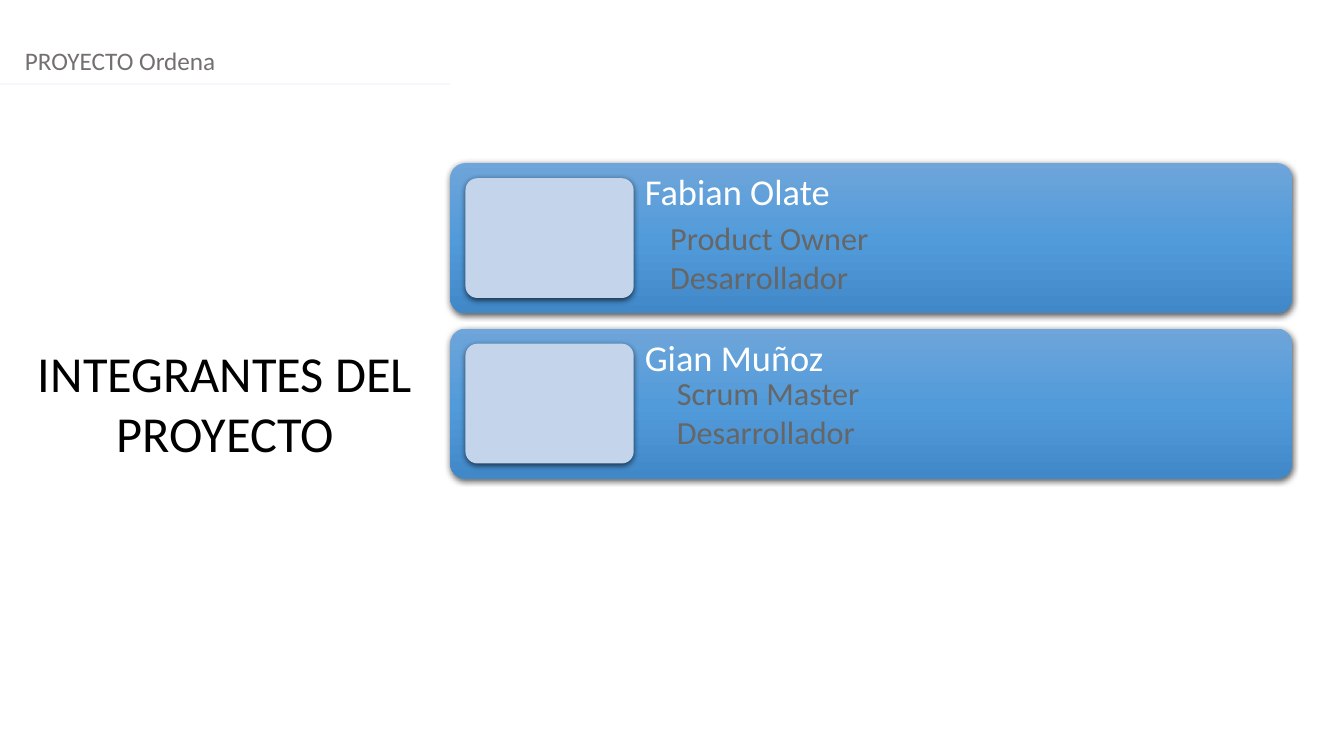
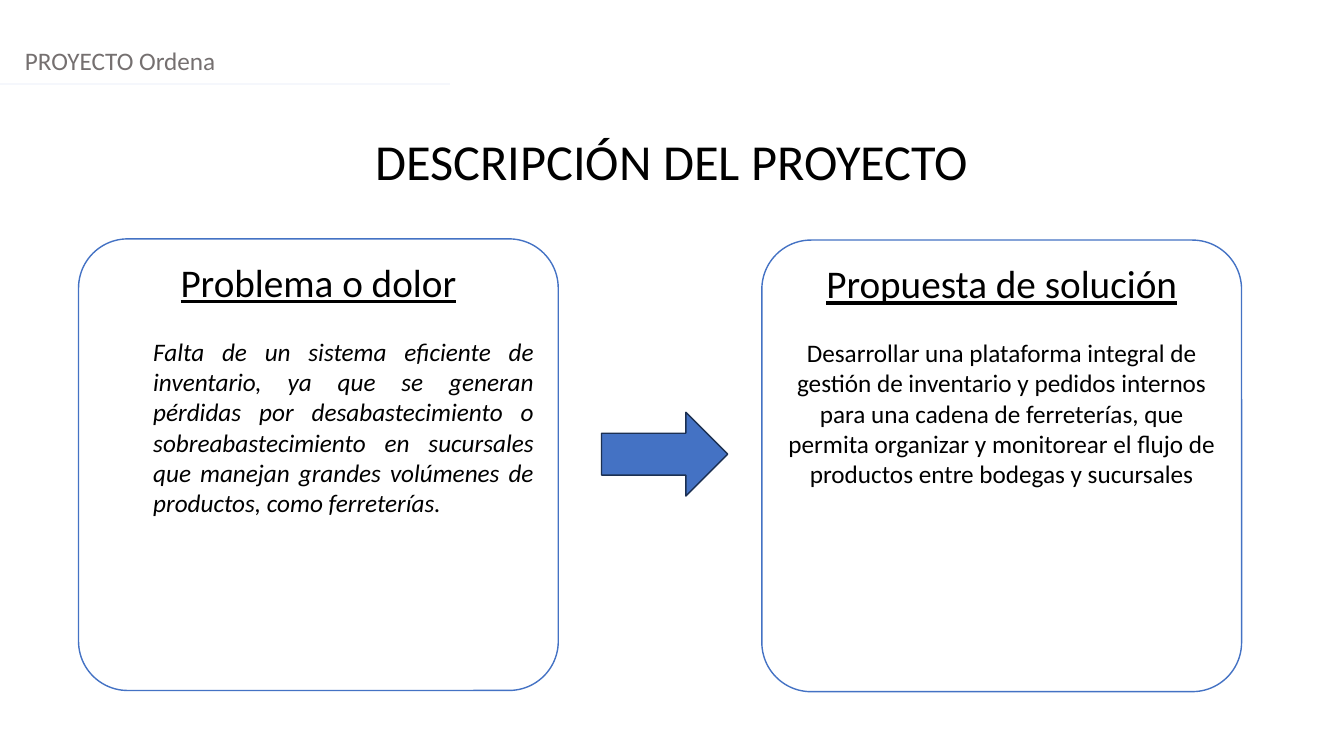
from lxml import etree
from pptx import Presentation
from pptx.dml.color import RGBColor
from pptx.enum.shapes import MSO_CONNECTOR, MSO_SHAPE
from pptx.enum.text import MSO_ANCHOR, PP_ALIGN
from pptx.oxml import parse_xml
from pptx.oxml.ns import nsdecls, qn
from pptx.util import Cm, Pt

LEFT, CENTER, JUSTIFY = PP_ALIGN.LEFT, PP_ALIGN.CENTER, PP_ALIGN.JUSTIFY
TOP = MSO_ANCHOR.TOP
ROUNDED, ARROW = MSO_SHAPE.ROUNDED_RECTANGLE, MSO_SHAPE.RIGHT_ARROW
STRAIGHT = MSO_CONNECTOR.STRAIGHT

BLACK = RGBColor(0x00, 0x00, 0x00)
WHITE = RGBColor(0xFF, 0xFF, 0xFF)
HEADER_GRAY = RGBColor(0x75, 0x70, 0x70)
ROLE_GRAY = RGBColor(0x66, 0x66, 0x66)
RULE = RGBColor(0xF5, 0xF7, 0xFC)
BLUE = RGBColor(0x44, 0x72, 0xC4)
NAVY = RGBColor(0x1C, 0x30, 0x52)
PHOTO = RGBColor(0xC3, 0xD4, 0xEB)
CARD_STOPS = (
    (0, RGBColor(0x6E, 0xA5, 0xDA)),
    (50, RGBColor(0x52, 0x9B, 0xDA)),
    (100, RGBColor(0x41, 0x88, 0xC8)),
)

FONT = "Calibri"
SLIDE_W, SLIDE_H = 33.87, 19.05
RULE_END = 11.35


def add_text(tf, text, size=18, color=BLACK, align=LEFT, italic=False,
             underline=False, before=0, spacing=1.0, indent=0):
    p = tf.paragraphs[0]
    if p.runs:
        p = tf.add_paragraph()
    p.alignment = align
    p.space_before = Pt(before)
    p.line_spacing = spacing
    if indent:
        p._p.get_or_add_pPr().set("marL", str(Cm(indent)))
    r = p.add_run()
    r.text = text
    r.font.name = FONT
    r.font.size = Pt(size)
    r.font.color.rgb = color
    r.font.italic = italic
    r.font.underline = underline


class Deck:
    def __init__(self):
        self.prs = Presentation()
        self.prs.slide_width = Cm(SLIDE_W)
        self.prs.slide_height = Cm(SLIDE_H)
        self.s = None

    def new_slide(self):
        self.s = self.prs.slides.add_slide(self.prs.slide_layouts[6])
        tf = self.textbox(0.38, 1.02, SLIDE_W - 0.38, 1.02)
        add_text(tf, "PROYECTO Ordena", color=HEADER_GRAY)
        self.rule(0, RULE_END, 2.11)

    def frame(self, sp, inset_x, inset_y):
        tf = sp.text_frame
        tf.word_wrap = True
        tf.vertical_anchor = TOP
        tf.margin_left = tf.margin_right = Cm(inset_x)
        tf.margin_top = tf.margin_bottom = Cm(inset_y)
        return tf

    def textbox(self, x, y, w, h, inset_x=0.25, inset_y=0.13):
        sp = self.s.shapes.add_textbox(Cm(x), Cm(y), Cm(w), Cm(h))
        return self.frame(sp, inset_x, inset_y)

    def title(self, text, x, y, w, h):
        add_text(self.textbox(x, y, w, h), text, size=36, align=CENTER)

    def rule(self, x1, x2, y):
        line = self.s.shapes.add_connector(STRAIGHT, Cm(x1), Cm(y), Cm(x2), Cm(y))
        line.line.color.rgb = RULE
        line.line.width = Pt(1.25)
        etree.SubElement(line._element.spPr, qn("a:effectLst"))

    def shape(self, kind, x, y, w, h, fill=None, line=None, adj=None):
        sp = self.s.shapes.add_shape(kind, Cm(x), Cm(y), Cm(w), Cm(h))
        sp.shadow.inherit = False
        if adj is not None:
            sp.adjustments[0] = adj
        if fill is not None:
            sp.fill.solid()
            sp.fill.fore_color.rgb = fill
        if line is None:
            sp.line.fill.background()
        else:
            sp.line.color.rgb = line
            sp.line.width = Pt(1)
        return sp

    def raised(self, x, y, w, h, fill=None):
        sp = self.shape(ROUNDED, x, y, w, h, fill, adj=0.1)
        sp._element.spPr.find(qn("a:effectLst")).append(parse_xml(
            f'<a:outerShdw {nsdecls("a")} blurRad="{Pt(4.5)}" dist="{Pt(1.5)}" '
            'dir="5400000" algn="ctr" rotWithShape="0"><a:srgbClr val="000000">'
            '<a:alpha val="63000"/></a:srgbClr></a:outerShdw>'))
        return sp

    def member(self, x, y, w, h, name, roles, roles_x, roles_y):
        pad, photo_w = 0.38, 4.24
        card = self.raised(x, y, w, h)
        card.fill.gradient()
        card.fill.gradient_angle = 270
        stops = card._element.spPr.find(".//" + qn("a:gsLst"))
        stops.clear()
        for pos, color in CARD_STOPS:
            stop = etree.SubElement(stops, qn("a:gs"), pos=str(pos * 1000))
            etree.SubElement(stop, qn("a:srgbClr"), val=str(color))
        self.raised(x + pad, y + pad, photo_w, h - 2 * pad, PHOTO)
        text_x = pad + photo_w
        tf = self.textbox(x + text_x, y, w - text_x, h, 0.28, 0.28)
        add_text(tf, name, size=26, color=WHITE, spacing=0.9)
        tf = self.textbox(roles_x, roles_y, 14.12, 2.49, 0.25, 0.25)
        for role in roles:
            add_text(tf, role, size=23, color=ROLE_GRAY)

    def panel(self, x, y, heading, body, **body_format):
        sp = self.shape(ROUNDED, x, y, 12.09, 11.38, WHITE, BLUE, adj=0.109)
        tf = self.frame(sp, 0.25, 0.13)
        add_text(tf, heading, size=28, align=CENTER, underline=True)
        add_text(tf, body, before=22, **body_format)


def members_slide(deck):
    deck.new_slide()
    deck.title("INTEGRANTES DEL PROYECTO", 0.66, 8.48, 10.03, 3.33)
    members = (
        ("Fabian Olate", ("Product Owner", "Desarrollador"), 16.64, 5.26),
        ("Gian Muñoz", ("Scrum Master", "Desarrollador"), 16.81, 9.17),
    )
    for i, member in enumerate(members):
        deck.member(RULE_END, 4.11 + i * 4.17, 21.21, 3.78, *member)


def description_slide(deck):
    deck.new_slide()
    deck.title("DESCRIPCIÓN DEL PROYECTO", 0, 3.15, SLIDE_W, 1.8)
    deck.panel(
        1.98, 6.02, "Problema o dolor",
        "Falta de un sistema eficiente de inventario, ya que se generan "
        "pérdidas por desabastecimiento o sobreabastecimiento en sucursales "
        "que manejan grandes volúmenes de productos, como ferreterías.",
        align=JUSTIFY, italic=True, indent=1.27)
    deck.panel(
        19.2, 6.05, "Propuesta de solución",
        "Desarrollar una plataforma integral de gestión de inventario y "
        "pedidos internos para una cadena de ferreterías, que permita "
        "organizar y monitorear el flujo de productos entre bodegas y "
        "sucursales",
        align=CENTER)
    deck.shape(ARROW, 15.16, 10.39, 3.18, 2.11, BLUE, NAVY)


def main():
    deck = Deck()
    members_slide(deck)
    description_slide(deck)
    deck.prs.save("out.pptx")


if __name__ == "__main__":
    main()
